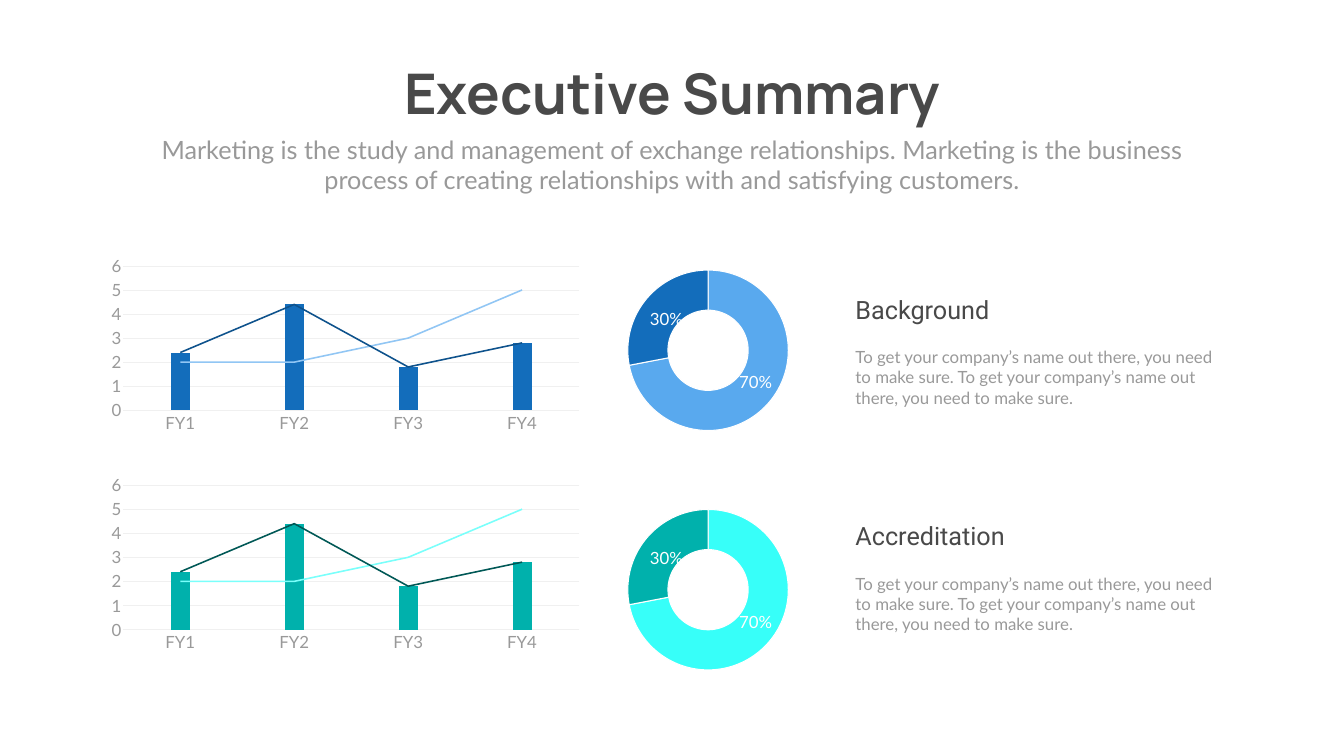
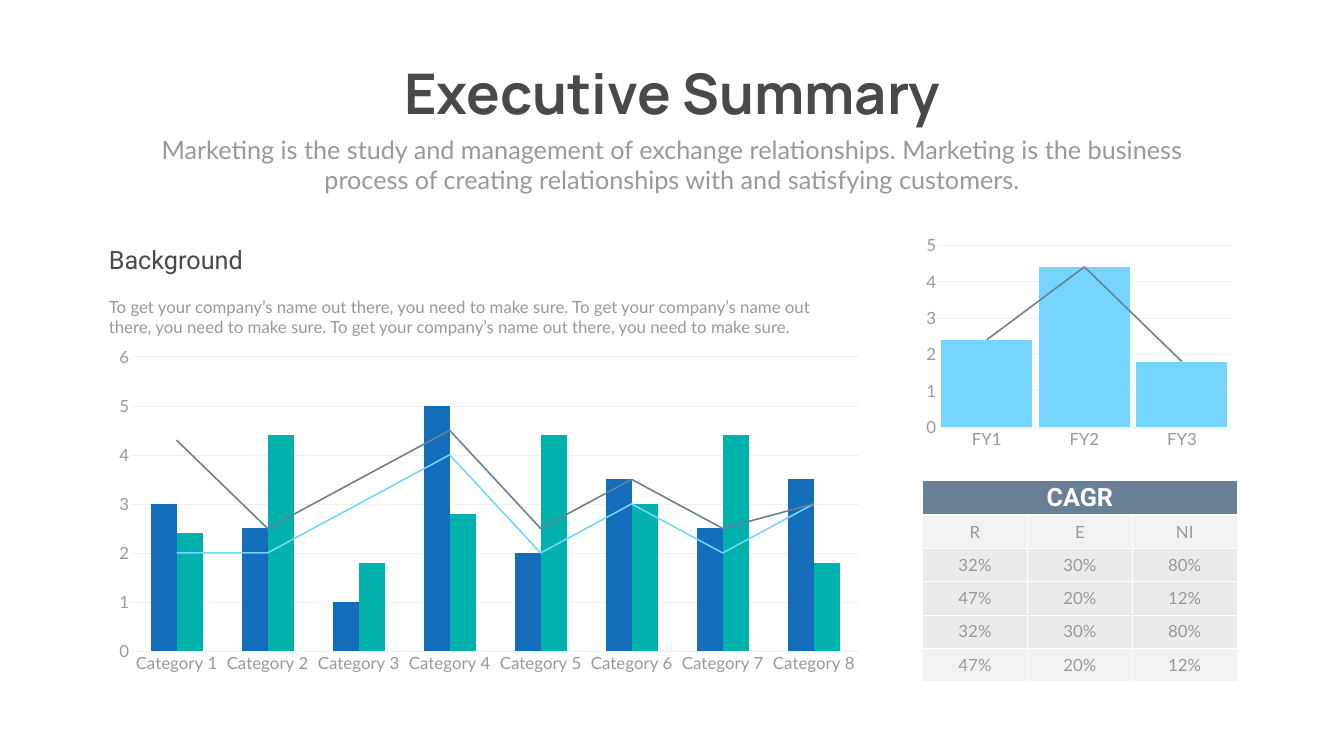
from pptx import Presentation
from pptx.chart.data import CategoryChartData
from pptx.dml.color import RGBColor
from pptx.enum.chart import XL_CHART_TYPE, XL_MARKER_STYLE, XL_TICK_MARK
from pptx.enum.text import MSO_ANCHOR, MSO_AUTO_SIZE, PP_ALIGN
from pptx.oxml import parse_xml
from pptx.oxml.ns import nsdecls, qn
from pptx.util import Inches, Pt

COLUMNS, DOUGHNUT = XL_CHART_TYPE.COLUMN_CLUSTERED, XL_CHART_TYPE.DOUGHNUT
NO_TICK, NO_MARKER = XL_TICK_MARK.NONE, XL_MARKER_STYLE.NONE
LEFT, CENTER, MIDDLE = PP_ALIGN.LEFT, PP_ALIGN.CENTER, MSO_ANCHOR.MIDDLE
FIT = MSO_AUTO_SIZE.SHAPE_TO_FIT_TEXT

HEX = {
    "dark": "494949", "grey": "999999", "grid": "F0F0F0", "white": "FFFFFF",
    "blue": "136DBB", "blue_mid": "59A9EE", "blue_light": "91C6F4", "blue_deep": "0E528C",
    "teal": "00B1AC", "teal_mid": "37FFF9", "teal_light": "7AFFFB", "teal_deep": "005856",
    "sky": "75D5FF", "slate": "698094", "row": "F2F2F2", "row_dark": "D9D9D9",
}
RGB = {name: RGBColor.from_string(value) for name, value in HEX.items()}
TITLE = ("Manrope", 80, "dark", True)
SUBTITLE = ("Lato", 36, "grey", False)
HEADING = ("Roboto", 36, "dark", False)
BODY = ("Lato", 24, "grey", False)
LABEL = ("Lato", 24, "white", False)
TABLE_HEAD = ("Roboto", 36, "white", True)
PITCH = "To get your company’s name out there, you need to make sure."

prs = Presentation()
prs.slide_width, prs.slide_height = Inches(26.66), Inches(15)
COL, ROW = prs.slide_width / 100, prs.slide_height / 100
GRID = (COL, ROW, COL, ROW)


def add_text(s, at, text, style, align=LEFT, wrap=True):
    tf = s.shapes.add_textbox(*[int(n * unit) for n, unit in zip(at, GRID)]).text_frame
    tf.word_wrap = wrap
    tf.auto_size = FIT
    tf.text = text
    p = tf.paragraphs[0]
    p.alignment = align
    font = p.runs[0].font
    font.name, font.size, font.bold = style[0], Pt(style[1]), style[3]
    font.color.rgb = RGB[style[2]]


def add_combo(s, at, cats, bars, lines, gap, top, size=10):
    data = CategoryChartData()
    data.categories = cats
    for i, (values, _) in enumerate(bars + lines, 1):
        data.add_series(f"Series {i}", values)
    box = [int(n * unit) for n, unit in zip(at, GRID)]
    chart = s.shapes.add_chart(COLUMNS, *box, data).chart
    chart.has_legend = chart.has_title = False
    chart.font.name, chart.font.size = "Calibri", Pt(size)
    chart.font.color.rgb = RGB["grey"]

    bar = chart.plots[0]
    bar.gap_width, bar.overlap, bar.vary_by_categories = gap, 0, False
    bar_xml = chart._chartSpace.find(".//" + qn("c:barChart"))
    axes = "".join(f'<c:axId val="{a.get("val")}"/>' for a in bar_xml.findall(qn("c:axId")))
    line_xml = parse_xml(
        f'<c:lineChart {nsdecls("c")}><c:grouping val="standard"/><c:varyColors val="0"/>'
        f'<c:marker val="1"/>{axes}</c:lineChart>')
    marker = line_xml.find(qn("c:marker"))
    for ser in bar_xml.findall(qn("c:ser"))[len(bars):]:
        for flag in ser.findall(qn("c:invertIfNegative")):
            ser.remove(flag)
        marker.addprevious(ser)
    bar_xml.addnext(line_xml)

    for ser, (_, color) in zip(chart.plots[0].series, bars):
        ser.format.fill.solid()
        ser.format.fill.fore_color.rgb = RGB[color]
    for ser, (_, color) in zip(chart.plots[1].series, lines):
        ser.smooth = False
        ser.marker.style = NO_MARKER
        ser.format.line.width = Pt(2.25)
        ser.format.line.color.rgb = RGB[color]

    cat, val = chart.category_axis, chart.value_axis
    for axis in (cat, val):
        axis.major_tick_mark = axis.minor_tick_mark = NO_TICK
        font = axis.tick_labels.font
        font.name, font.size = "Lato", Pt(24)
        font.color.rgb = RGB["grey"]
    val.minimum_scale, val.maximum_scale, val.major_unit = 0, top, 1
    val.has_major_gridlines = True
    val.format.line.fill.background()
    for line in (cat.format.line, val.major_gridlines.format.line):
        line.width = Pt(0.75)
        line.color.rgb = RGB["grid"]


slides = []
for _ in range(2):
    s = prs.slides.add_slide(prs.slide_layouts[6])
    add_text(s, (27.91, 7.47, 44.22, 9.67), "Executive Summary", TITLE, CENTER, False)
    add_text(s, (10.95, 17.4, 78.09, 8.73),
             "Marketing is the study and management of exchange relationships. Marketing is "
             "the business process of creating relationships with and satisfying customers.",
             SUBTITLE, CENTER)
    slides.append(s)

s = slides[0]
yearly, growth = (2.4, 4.4, 1.8, 2.8), (2, 2, 3, 5)
for heading, tone, combo_y, ring_y, text_y in (
        ("Background", "blue", 33.33, 34.8, 38.6),
        ("Accreditation", "teal", 62.33, 66.47, 68.53)):
    add_combo(s, (7.58, combo_y, 36.23, 24.4), ("FY1", "FY2", "FY3", "FY4"),
              [(yearly, tone)], [(growth, tone + "_light"), (yearly, tone + "_deep")], 500, 6)

    data = CategoryChartData()
    data.categories = ("1", "2")
    data.add_series("Series 1", (72, 28))
    box = [int(n * unit) for n, unit in zip((42.95, ring_y, 19.47, 23.07), GRID)]
    ring = s.shapes.add_chart(DOUGHNUT, *box, data).chart
    ring.has_legend = ring.has_title = False
    ring.font.name, ring.font.size = "Calibri", Pt(10)
    ring.font.color.rgb = RGB["grey"]
    for i, color in enumerate((tone + "_mid", tone)):
        part = ring.plots[0].series[0].points[i].format
        part.fill.solid()
        part.fill.fore_color.rgb = RGB[color]
        part.line.width = Pt(1.5)
        part.line.color.rgb = RGB["white"]
    area = ring._chartSpace.find(".//" + qn("c:plotArea"))
    area.find(".//" + qn("c:holeSize")).set("val", "40")
    for old in area.findall(qn("c:layout")):
        area.remove(old)
    area.insert(0, parse_xml(
        f'<c:layout {nsdecls("c")}><c:manualLayout><c:layoutTarget val="inner"/>'
        '<c:xMode val="edge"/><c:yMode val="edge"/><c:x val="0.19"/><c:y val="0.04"/>'
        '<c:w val="0.62"/><c:h val="0.92"/></c:manualLayout></c:layout>'))

    for label, x, drop in (("30%", 47.97, 5.7), ("70%", 54.61, 14.07)):
        add_text(s, (x, ring_y + drop, 3.23, 3.33), label, LABEL, CENTER, False)
    add_text(s, (63.28, text_y, 12.23, 4.73), heading, HEADING)
    add_text(s, (63.28, text_y + 6.97, 27.76, 8.73), " ".join([PITCH] * 2), BODY)

s = slides[1]
add_text(s, (7.73, 31.93, 12.23, 4.73), "Background", HEADING)
add_text(s, (7.73, 38.87, 55.78, 6.07), " ".join([PITCH] * 3), BODY)
add_combo(s, (7.73, 44.93, 57.35, 45.07), [f"Category {i}" for i in range(1, 9)],
          [((3, 2.5, 1, 5, 2, 3.5, 2.5, 3.5), "blue"),
           ((2.4, 4.4, 1.8, 2.8, 4.4, 3, 4.4, 1.8), "teal")],
          [((2, 2, 3, 4, 2, 3, 2, 3), "sky"),
           ((4.3, 2.5, 3.5, 4.5, 2.5, 3.5, 2.5, 3), "slate")], 150, 6, 24)
add_combo(s, (68.45, 30.47, 23.59, 29.6), ("FY1", "FY2", "FY3"),
          [(yearly[:3], "sky")], [(yearly[:3], "slate")], 7, 5)

high, low = ("32%", "30%", "80%"), ("47%", "20%", "12%")
rows = [("CAGR", "", ""), ("R", "E", "NI"), high, low, high, low]
fills = ["slate", "row", "row_dark", "row_dark", "row_dark", "row"]
box = [int(n * unit) for n, unit in zip((68.64, 63.47, 23.41, 25.87), GRID)]
table = s.shapes.add_table(len(rows), 3, *box).table
table.cell(0, 0).merge(table.cell(0, 2))
for r, (texts, fill) in enumerate(zip(rows, fills)):
    table.rows[r].height = int(ROW * (4.4 if r else 3.87))
    for c, text in enumerate(texts):
        cell = table.cell(r, c)
        cell.vertical_anchor = MIDDLE
        cell.fill.solid()
        cell.fill.fore_color.rgb = RGB[fill]
        tcPr = cell._tc.get_or_add_tcPr()
        if fill == "row_dark":
            tcPr.find(".//" + qn("a:srgbClr")).append(
                parse_xml(f'<a:alpha {nsdecls("a")} val="50000"/>'))
        for i, side in enumerate("LRTB"):
            points = 3 if (r, side) in ((0, "B"), (1, "T")) else 1
            tcPr.insert(i, parse_xml(
                f'<a:ln{side} {nsdecls("a")} w="{Pt(points)}"><a:solidFill>'
                f'<a:srgbClr val="{HEX["white"]}"/></a:solidFill></a:ln{side}>'))
        if text:
            cell.text = text
            p = cell.text_frame.paragraphs[0]
            p.alignment = CENTER
            name, size, color, bold = BODY if r else TABLE_HEAD
            font = p.runs[0].font
            font.name, font.size, font.bold = name, Pt(size), bold
            font.color.rgb = RGB[color]

prs.save("out.pptx")
